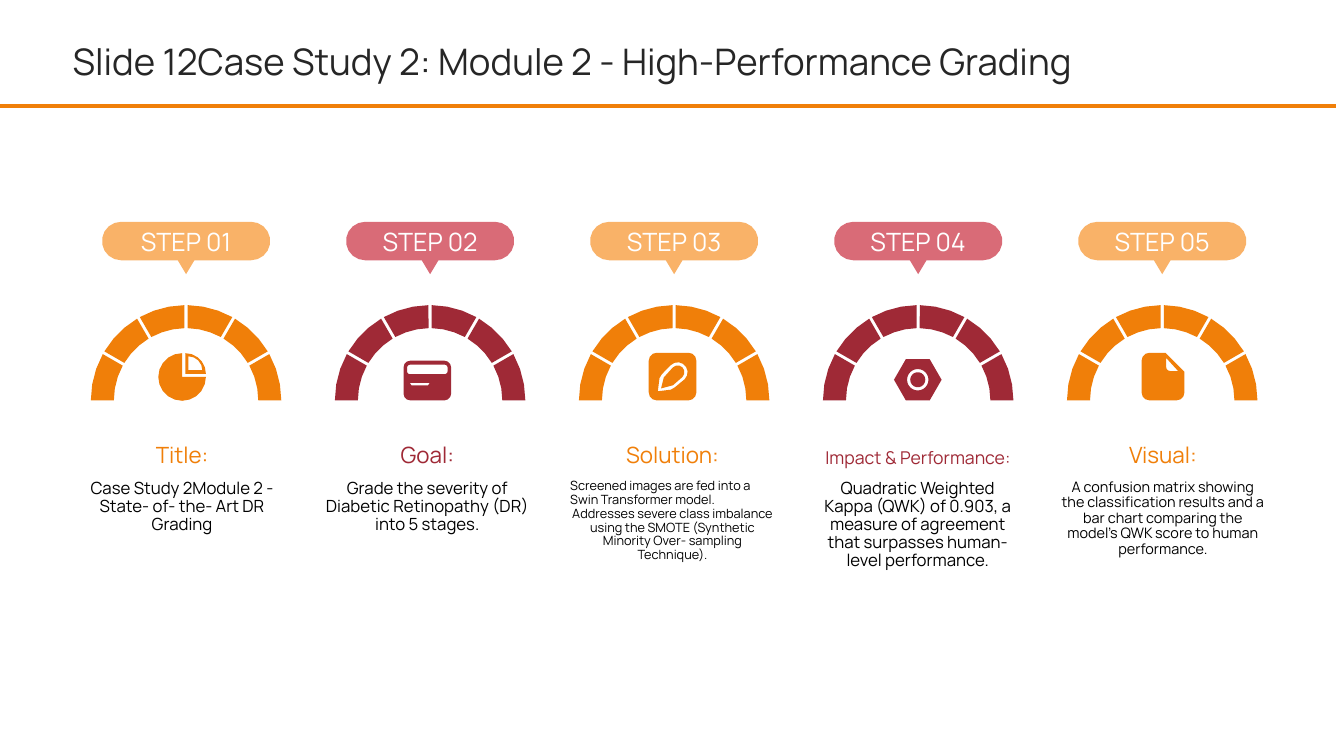
from math import cos, radians, sin

from lxml import etree
from pptx import Presentation
from pptx.dml.color import RGBColor
from pptx.enum.shapes import MSO_CONNECTOR
from pptx.enum.text import MSO_ANCHOR, PP_ALIGN
from pptx.oxml.ns import qn
from pptx.util import Cm, Pt

FONT = "Manrope"
ORANGE = RGBColor(0xF0, 0x7F, 0x09)
LIGHT_ORANGE = RGBColor(0xF9, 0xB2, 0x68)
RED = RGBColor(0x9F, 0x29, 0x36)
PINK = RGBColor(0xD9, 0x6B, 0x77)
WHITE = RGBColor(0xFF, 0xFF, 0xFF)
BLACK = RGBColor(0, 0, 0)
DARK = RGBColor(0x26, 0x26, 0x26)

# Heading, heading size, body paragraphs with alignment, body size
STEPS = [
    ("Title:", 16,
     [("Case Study 2Module 2 - State- of- the- Art DR Grading", PP_ALIGN.CENTER)], 12),
    ("Goal:", 16,
     [("Grade the severity of Diabetic Retinopathy (DR) into 5 stages.", PP_ALIGN.CENTER)], 12),
    ("Solution:", 16,
     [("Screened images are fed into a Swin Transformer model.", PP_ALIGN.LEFT),
      ("Addresses severe class imbalance using the SMOTE (Synthetic Minority "
       "Over- sampling Technique).", PP_ALIGN.CENTER)], 9.1),
    ("Impact & Performance:", 12.6,
     [("Quadratic Weighted Kappa (QWK) of 0.903, a measure of agreement that "
       "surpasses human- level performance.", PP_ALIGN.CENTER)], 12),
    ("Visual:", 16,
     [("A confusion matrix showing the classification results and a bar chart "
       "comparing the model's QWK score to human performance.", PP_ALIGN.CENTER)], 10.3),
]


# Outlines, in centimetres
def arc(cx, cy, radius, start, end, n=3):
    angles = [radians(start + (end - start) * i / n) for i in range(n + 1)]
    return [(cx + radius * cos(a), cy + radius * sin(a)) for a in angles]


def round_rect(x, y, w, h, r):
    return (arc(x + r, y + r, r, 180, 270) + arc(x + w - r, y + r, r, 270, 360)
            + arc(x + w - r, y + h - r, r, 0, 90) + arc(x + r, y + h - r, r, 90, 180))


def draw(slide, x, y, contours, color):
    """Draw contours placed relative to (x, y) as one filled shape."""
    builder = None
    for contour in contours:
        pts = [(Cm(x + dx), Cm(y + dy)) for dx, dy in contour]
        if builder is None:
            builder = slide.shapes.build_freeform(*pts[0])
        else:
            builder.move_to(*pts[0])
        builder.add_line_segments(pts[1:], close=True)
    sp = builder.convert_to_shape()
    sp.shadow.inherit = False
    sp.fill.solid()
    sp.fill.fore_color.rgb = color
    sp.line.fill.background()


# Icons, centred on x = 0 and standing on y = 0
PIE = [arc(0, -0.59, 0.6, 0, 270, 15) + [(0, -0.59)],
       arc(0.08, -0.67, 0.52, 270, 360, 5) + [(0.08, -0.67)],
       arc(0.16, -0.76, 0.35, 270, 360, 4) + [(0.16, -0.76)]]
CARD = [round_rect(-0.6, -1, 1.2, 1, 0.17),
        round_rect(-0.51, -0.9, 1.02, 0.24, 0.07),
        [(-0.44, -0.44), (0.06, -0.44), (0.02, -0.38), (-0.4, -0.38)]]
PENCIL = [round_rect(-0.6, -1.2, 1.2, 1.2, 0.2),
          arc(0.13, -0.71, 0.25, 225, 405, 7) + [(0.06, -0.33), (-0.04, -0.27),
                                                (-0.37, -0.23), (-0.33, -0.56), (-0.27, -0.66)],
          arc(0.13, -0.71, 0.17, 225, 405, 6) + [(0.01, -0.38), (-0.29, -0.3), (-0.22, -0.58)]]
NUT = [arc(0, -0.52, 0.6, 0, 300, 5),
       arc(0, -0.52, 0.27, 0, 345, 23), arc(0, -0.52, 0.19, 0, 340, 17)]
PAGE = [arc(-0.34, -1, 0.2, 180, 270) + [(0.06, -1.2), (0.54, -0.72)]
        + arc(0.34, -0.2, 0.2, 0, 90) + arc(-0.34, -0.2, 0.2, 90, 180),
        [(0.08, -1.07), (0.38, -0.74)] + arc(0.18, -0.84, 0.1, 90, 180)]
ICONS = [PIE, CARD, PENCIL, NUT, PAGE]


def format_text(tf, size, color):
    tf.word_wrap = True
    tf.margin_left = tf.margin_right = tf.margin_top = tf.margin_bottom = 0
    for p in tf.paragraphs:
        for r in p.runs:
            r.font.name = FONT
            r.font.size = Pt(size)
            r.font.color.rgb = color


def add_text(slide, x, y, w, h, paragraphs, size, color, anchor, spacing=1.0):
    tf = slide.shapes.add_textbox(Cm(x), Cm(y), Cm(w), Cm(h)).text_frame
    tf.vertical_anchor = anchor
    for i, (text, align) in enumerate(paragraphs):
        p = tf.paragraphs[0] if i == 0 else tf.add_paragraph()
        p.text = text
        p.alignment = align
        p.line_spacing = spacing
    format_text(tf, size, color)


def add_header(slide, x, y, w, h):
    title = slide.shapes.title
    title.left, title.top, title.width, title.height = Cm(x), Cm(y), Cm(w), Cm(h)
    tf = title.text_frame
    tf.text = "Slide 12Case Study 2: Module 2 - High-Performance Grading"
    tf.vertical_anchor = MSO_ANCHOR.MIDDLE
    tf.paragraphs[0].alignment = PP_ALIGN.LEFT
    format_text(tf, 26.1, DARK)

    # Rule under the title
    rule_y = Cm(y + h + 0.48)
    rule = slide.shapes.add_connector(MSO_CONNECTOR.STRAIGHT, 0, rule_y, Cm(33.68), rule_y)
    rule.line.color.rgb = ORANGE
    rule.line.width = Pt(2.25)
    etree.SubElement(rule._element.spPr, qn("a:effectLst"))


def add_callout(slide, cx, y, text, color):
    w, h, tip = 4.24, 0.97, 0.21
    r = h / 2
    outline = (arc(r - w / 2, r, r, 90, 270, 9) + arc(w / 2 - r, r, r, -90, 90, 9)
               + [(tip, h), (0, 1.32), (-tip, h)])
    draw(slide, cx, y, [outline], color)
    add_text(slide, cx - w / 2, y, w, h, [(text, PP_ALIGN.CENTER)], 18, WHITE,
             MSO_ANCHOR.MIDDLE)


def add_gauge(slide, cx, base, color):
    outer, inner, half_gap, count = 2.4, 1.82, 0.04, 6
    segments = []
    for i in range(count):
        start, end = 180 + 180 / count * i, 180 + 180 / count * (i + 1)

        def edge(radius):
            trim = half_gap / radius * 57.3
            return arc(0, 0, radius, start + trim * (i > 0), end - trim * (i < count - 1))

        segments.append(edge(outer) + edge(inner)[::-1])
    draw(slide, cx, base, segments, color)


def add_step(slide, index, gauge_x, text_x, top):
    """Place one step around its gauge and text centre lines."""
    heading, heading_size, body, body_size = STEPS[index]
    color, light = [(ORANGE, LIGHT_ORANGE), (RED, PINK)][index % 2]
    base = top + 4.5
    add_callout(slide, gauge_x, top, f"STEP {index + 1:02d}", light)
    add_gauge(slide, gauge_x, base, color)
    draw(slide, text_x, base, ICONS[index], color)
    add_text(slide, text_x - 2.76, top + 4.85, 5.52, 1.35, [(heading, PP_ALIGN.CENTER)],
             heading_size, color, MSO_ANCHOR.BOTTOM)
    add_text(slide, text_x - 2.58, top + 6.5, 5.16, 4.17, body, body_size, BLACK,
             MSO_ANCHOR.TOP, 0.9)


def main():
    prs = Presentation()
    prs.slide_width, prs.slide_height = Cm(33.87), Cm(19.05)
    slide = prs.slides.add_slide(prs.slide_layouts[5])
    add_header(slide, 1.83, 0.89, 29.64, 1.3)
    for i in range(len(STEPS)):
        add_step(slide, i, 4.69 + 6.15 * i, 4.59 + 6.18 * i, 5.59)
    prs.save("out.pptx")


if __name__ == "__main__":
    main()
